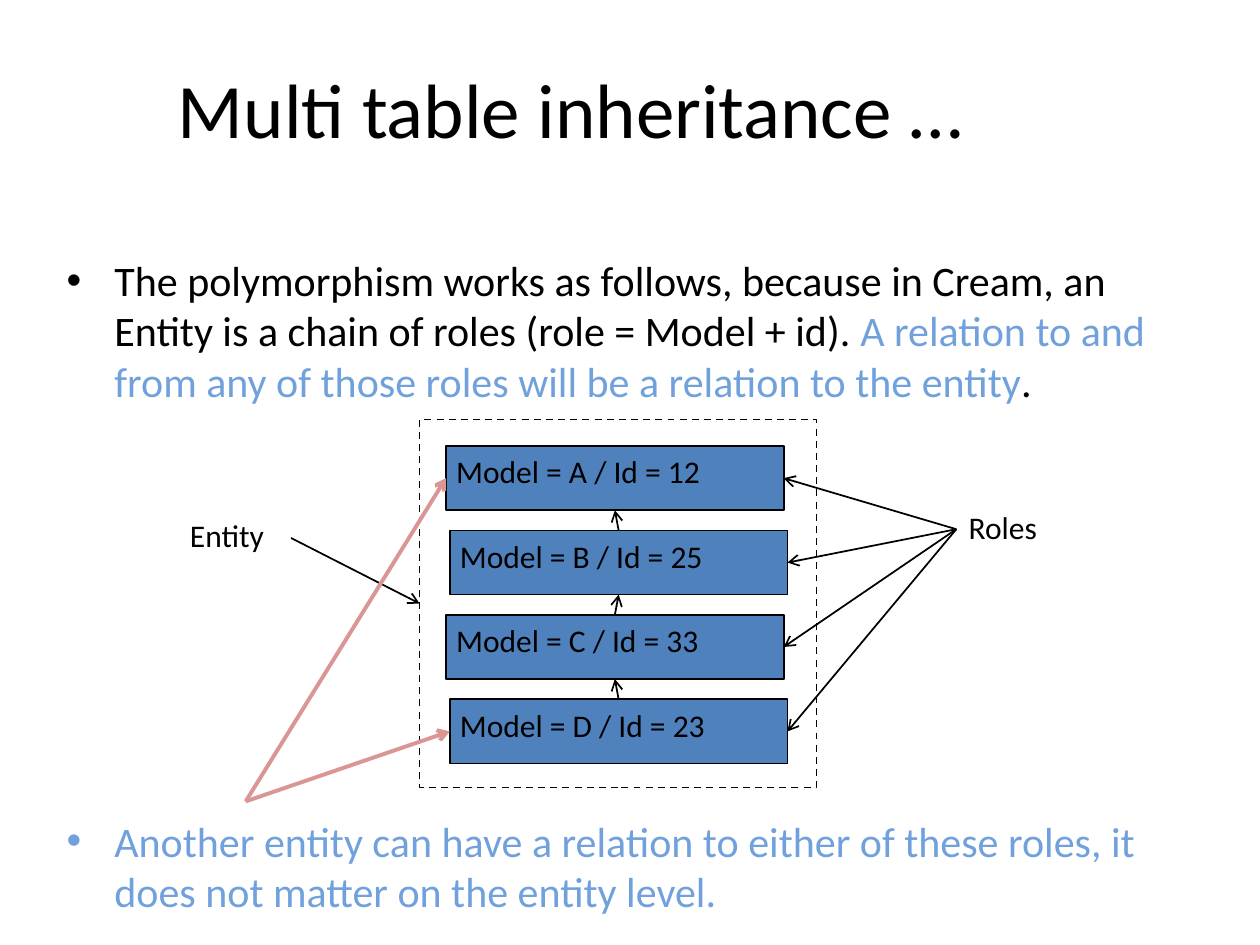
from lxml.etree import SubElement
from pptx import Presentation
from pptx.dml.color import RGBColor
from pptx.enum.dml import MSO_LINE
from pptx.enum.shapes import MSO_CONNECTOR, MSO_SHAPE
from pptx.enum.text import MSO_ANCHOR as ANCHOR, PP_ALIGN as ALIGN
from pptx.oxml.ns import qn
from pptx.util import Inches, Pt

COLORS = {"ink": "000000", "accent": "71A1DC", "model": "4F81BD", "relation": "D99694"}
TOP, LEFT, BOTTOM, RIGHT = range(4)


def add_span(para, text, size, color="ink"):
    span = para.add_run()
    span.text = text
    span.font.name = "Calibri"
    span.font.size = Pt(size)
    span.font.color.rgb = RGBColor.from_string(COLORS[color])


def add_arrow(start, start_side, end, end_side, color="ink", width=1):
    """Join two shapes; without a start side, start is a point."""
    arrow = page.shapes.add_connector(MSO_CONNECTOR.STRAIGHT, 0, 0, 0, 0)
    if start_side is None:
        arrow.begin_x, arrow.begin_y = start
    else:
        arrow.begin_connect(start, start_side)
    arrow.end_connect(end, end_side)
    arrow.line.color.rgb = RGBColor.from_string(COLORS[color])
    arrow.line.width = Pt(width)
    SubElement(arrow.line._get_or_add_ln(), qn("a:tailEnd"), type="arrow")
    SubElement(arrow._element.spPr, qn("a:effectLst"))


deck = Presentation()
deck.slide_width, deck.slide_height = Inches(10), Inches(7.5)
page = deck.slides.add_slide(deck.slide_layouts[6])

# Body: two bullets with room for the diagram between them
body = page.shapes.add_textbox(Inches(0.43), Inches(1.97), Inches(9.13), Inches(5.4))
body.text_frame.word_wrap = True
bullets = [
    [("The polymorphism works as follows, because in Cream, an Entity is a chain "
      "of roles (role = Model + id). ", "ink"),
     ("A relation to and from any of those roles will be a relation to the entity", "accent"),
     (".", "ink")],
    [("Another entity can have a relation to either of these roles, it does not "
      "matter on the entity level.", "accent")],
]
for index, spans in enumerate(bullets):
    para = body.text_frame.add_paragraph() if index else body.text_frame.paragraphs[0]
    para.space_before = Pt(234 * index)
    props = para._p.get_or_add_pPr()
    props.set("marL", str(Inches(0.38)))
    props.set("indent", str(-Inches(0.38)))
    SubElement(props, qn("a:buFont"), typeface="Arial")
    SubElement(props, qn("a:buChar"), char="•")
    for text, color in spans:
        add_span(para, text, 24, color)

# Title
title = page.shapes.add_textbox(Inches(0.43), Inches(0.26), Inches(8.2), Inches(1.19))
title.text_frame.word_wrap = True
title.text_frame.vertical_anchor = ANCHOR.MIDDLE
title.text_frame.paragraphs[0].alignment = ALIGN.CENTER
add_span(title.text_frame.paragraphs[0], "Multi table inheritance …", 44)

# Entity frame
frame = page.shapes.add_shape(
    MSO_SHAPE.RECTANGLE, Inches(3.33), Inches(3.33), Inches(3.15), Inches(2.92))
frame.shadow.inherit = False
frame.fill.background()
frame.line.color.rgb = RGBColor.from_string(COLORS["ink"])
frame.line.width = Pt(1)
frame.line.dash_style = MSO_LINE.DASH

# Side labels
labels = {}
for text, left, top in [("Entity", 1.41, 4.05), ("Roles", 7.59, 3.98)]:
    label = page.shapes.add_textbox(Inches(left), Inches(top), Inches(0.9), Inches(0.44))
    label.text_frame.word_wrap = True
    add_span(label.text_frame.paragraphs[0], text, 18)
    labels[text] = label

# Chain of roles, every second one shifted slightly right
roles = []
for index, (model, number) in enumerate([("A", 12), ("B", 25), ("C", 33), ("D", 23)]):
    role = page.shapes.add_shape(
        MSO_SHAPE.RECTANGLE, Inches(3.54 + 0.03 * (index % 2)),
        Inches(3.54 + 0.67 * index), Inches(2.68), Inches(0.51))
    role.shadow.inherit = False
    role.fill.solid()
    role.fill.fore_color.rgb = RGBColor.from_string(COLORS["model"])
    role.line.color.rgb = RGBColor.from_string(COLORS["ink"])
    role.line.width = Pt(1)
    text_frame = role.text_frame
    text_frame.margin_left = text_frame.margin_right = Inches(0.08)
    text_frame.vertical_anchor = ANCHOR.TOP
    text_frame.paragraphs[0].alignment = ALIGN.LEFT
    add_span(text_frame.paragraphs[0], f"Model = {model} / Id = {number}", 18)
    roles.append(role)

# Arrows from the labels, from the other entity, and along the chain
add_arrow(labels["Entity"], RIGHT, frame, LEFT)
for role in roles:
    add_arrow(labels["Roles"], LEFT, role, RIGHT)
for role in (roles[3], roles[0]):
    add_arrow((Inches(1.95), Inches(6.36)), None, role, LEFT, "relation", 2.25)
for upper, lower in zip(roles, roles[1:]):
    add_arrow(lower, TOP, upper, BOTTOM)

deck.save("out.pptx")
